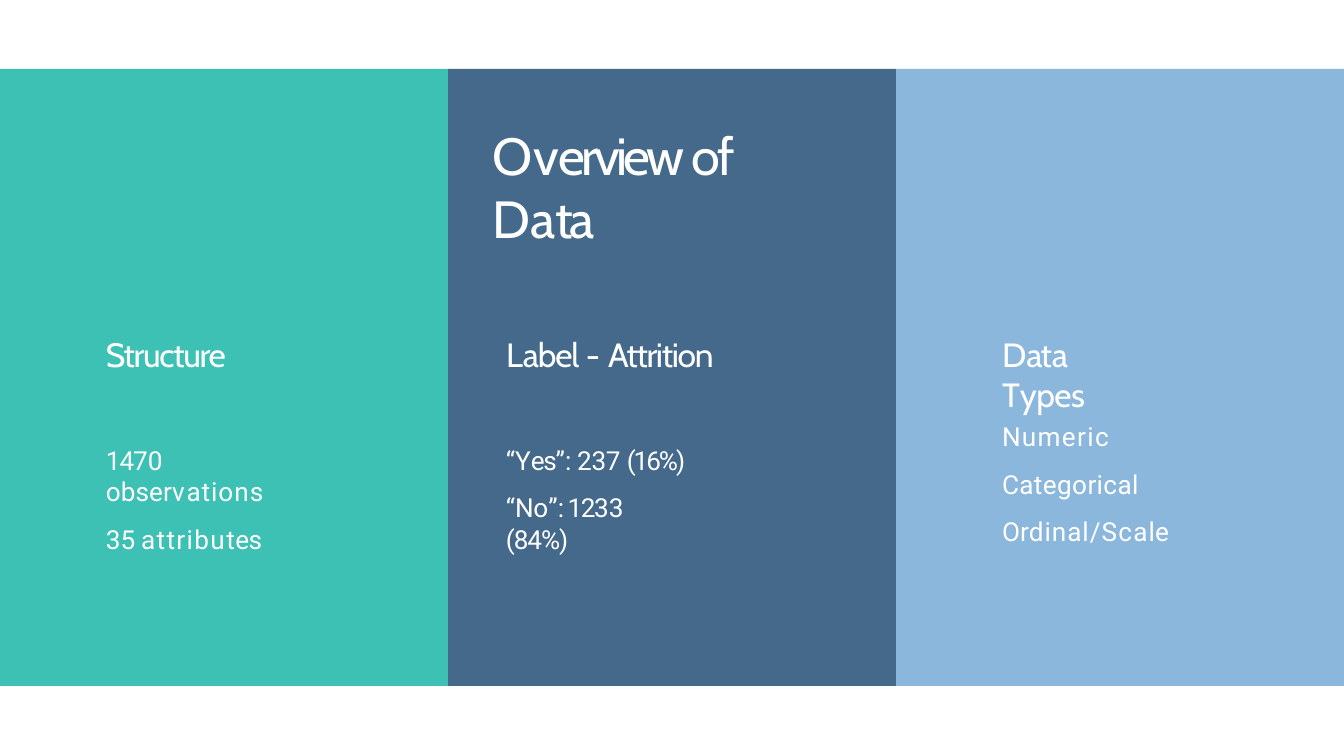
from pptx import Presentation
from pptx.dml.color import RGBColor
from pptx.enum.shapes import MSO_SHAPE
from pptx.enum.text import MSO_ANCHOR, MSO_AUTO_SIZE, PP_ALIGN
from pptx.oxml.ns import qn
from pptx.util import Pt
from lxml import etree

RECT = MSO_SHAPE.RECTANGLE
TOP, LEFT = MSO_ANCHOR.TOP, PP_ALIGN.LEFT
FIXED = MSO_AUTO_SIZE.NONE

WHITE = RGBColor(0xFF, 0xFF, 0xFF)
TEAL = RGBColor(0x00, 0xAE, 0x9D)
NAVY = RGBColor(0x06, 0x37, 0x63)
BLUE = RGBColor(0x3D, 0x85, 0xC6)

WIDE, HIGH = 1344, 756
SCALE = 9144000 / WIDE

# Content: each paragraph is a list of (text, letter spacing in points)
TITLE = [[("O", -2.6), ("v", -2), ("erview ", -2.1), ("of ", -1.7),
          ("D", -2.3), ("a", -2.5), ("ta", -2)]]
PANELS = [(TEAL, 76), (NAVY, 75), (BLUE, 59)]  # colour, opacity in percent
HEADS = [
    ((105, 333, 133, 44), [[("Structure", -0.7)]]),
    ((505, 333, 224, 44), [[("L", -1.1), ("abel ", -0.6), ("- ", 0.1),
                            ("Attrition", -0.7)]]),
    ((1001, 333, 150, 44), [[("D", -0.7), ("at", -0.9), ("a ", -0.6),
                             ("T", -2.6), ("ypes", -0.3)]]),
]
# Box, inset above, line spacing, space between items, items
LISTS = [
    ((105, 427, 215, 99), 17, 1, 8.7, [
        [("147", -0.6), ("0 ", -0.5), ("obse", 0), ("r", 0.1), ("v", 0.9),
         ("ations", 0.5)],
        [("3", -0.5), ("5 ", -0.4), ("attribu", 0.7), ("t", 0.3),
         ("es", -0.3)]]),
    ((505, 427, 185, 99), 17, 1, 8.7, [
        [("“", -0.1), ("Y", -0.8), ("es”", -0.7), (": ", -0.4),
         ("237 ", -0.2), ("(16%)", -1.1)],
        [("“No", -0.1), ("”", -1), (": 123", -0.8), ("3 ", -0.7),
         ("(84%)", -0.6)]]),
    ((1001, 403, 175, 146), 1, 1.52, 0, [
        [("Numeric", 0.7)],
        [("Categorical", 0.2)],
        [("O", -0.1), ("r", -0.2), ("dinal/S", 0.5), ("c", 0.7), ("a", 0.6),
         ("l", 0.1), ("e", -0.5)]]),
]
HEAD = {"name": "Cabin", "size": Pt(18)}
BODY = {"name": "Roboto", "size": Pt(14)}
BIG = {"name": "Cabin", "size": Pt(28)}


def px(n):
    return round(n * SCALE)


def assign(item, values):
    for key, value in values.items():
        setattr(item, key, value)


def write(shape, paras, font, top=1, line=1, gap=0):
    frame = shape.text_frame
    assign(frame, {"word_wrap": True, "auto_size": FIXED,
                   "vertical_anchor": TOP, "margin_left": px(1),
                   "margin_top": px(top), "margin_right": 0,
                   "margin_bottom": 0})
    for i, runs in enumerate(paras):
        para = frame.add_paragraph() if i else frame.paragraphs[0]
        assign(para, {"alignment": LEFT, "line_spacing": line,
                      "space_before": Pt(gap if i else 0)})
        for text, space in runs:
            run = para.add_run()
            run.text = text
            assign(run.font, font)
            run.font.color.rgb = WHITE
            run._r.get_or_add_rPr().set("spc", str(round(space * 100)))


deck = Presentation()
deck.slide_width, deck.slide_height = px(WIDE), px(HIGH)
slide = deck.slides.add_slide(deck.slide_layouts[5])
shapes = slide.shapes

# Three equal colour panels
step = WIDE // len(PANELS)
for i, (color, alpha) in enumerate(PANELS):
    panel = shapes.add_shape(RECT, px(i * step), px(69), px(step), px(617))
    panel.shadow.inherit = False
    panel.line.fill.background()
    panel.fill.solid()
    panel.fill.fore_color.rgb = color
    tint = panel.fill._xPr.find(qn("a:solidFill"))[0]
    etree.SubElement(tint, qn("a:alpha")).set("val", str(alpha * 1000))

# Title, brought in front of the panels
title = shapes.title
assign(title, dict(zip(("left", "top", "width", "height"),
                       map(px, (492, 122, 343, 130)))))
shapes._spTree.append(title._element)
write(title, TITLE, BIG)

# Column headings and lists
for box, paras in HEADS:
    write(shapes.add_textbox(*map(px, box)), paras, HEAD)
for box, top, line, gap, paras in LISTS:
    write(shapes.add_textbox(*map(px, box)), paras, BODY, top, line, gap)

deck.save("out.pptx")
